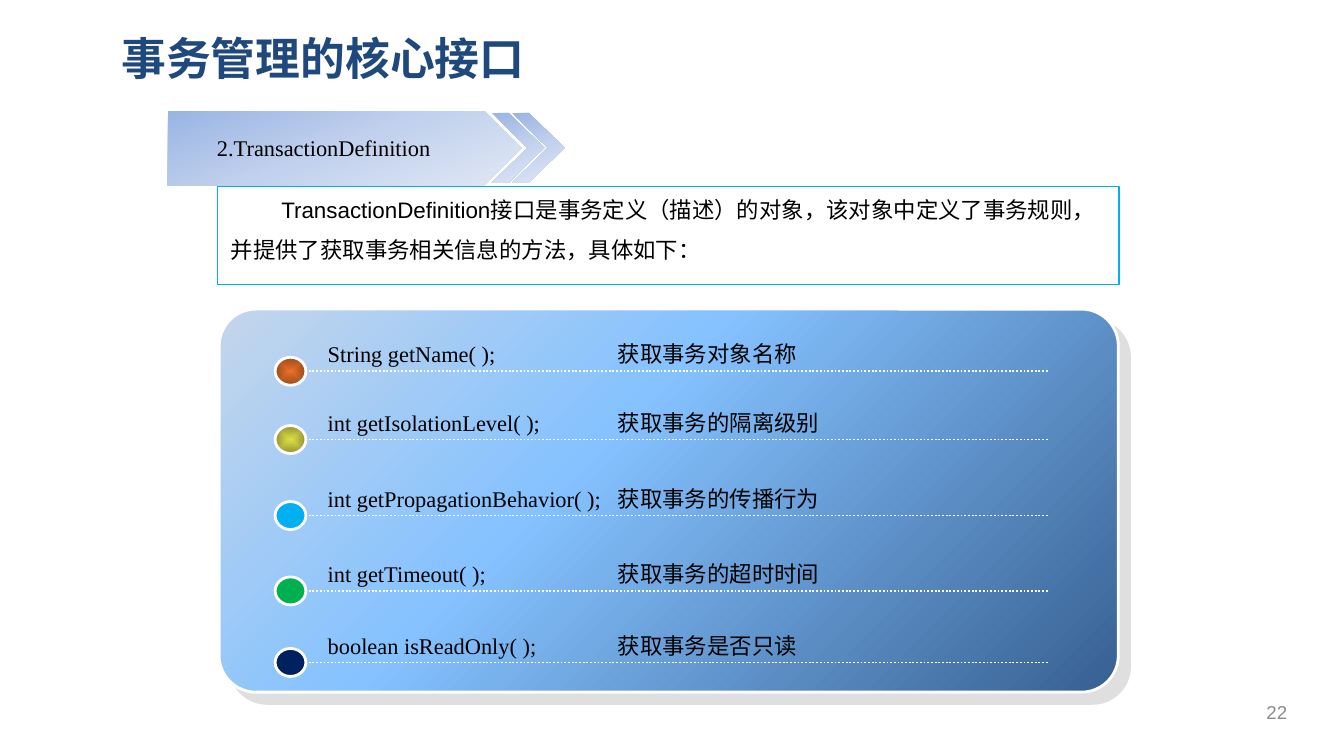
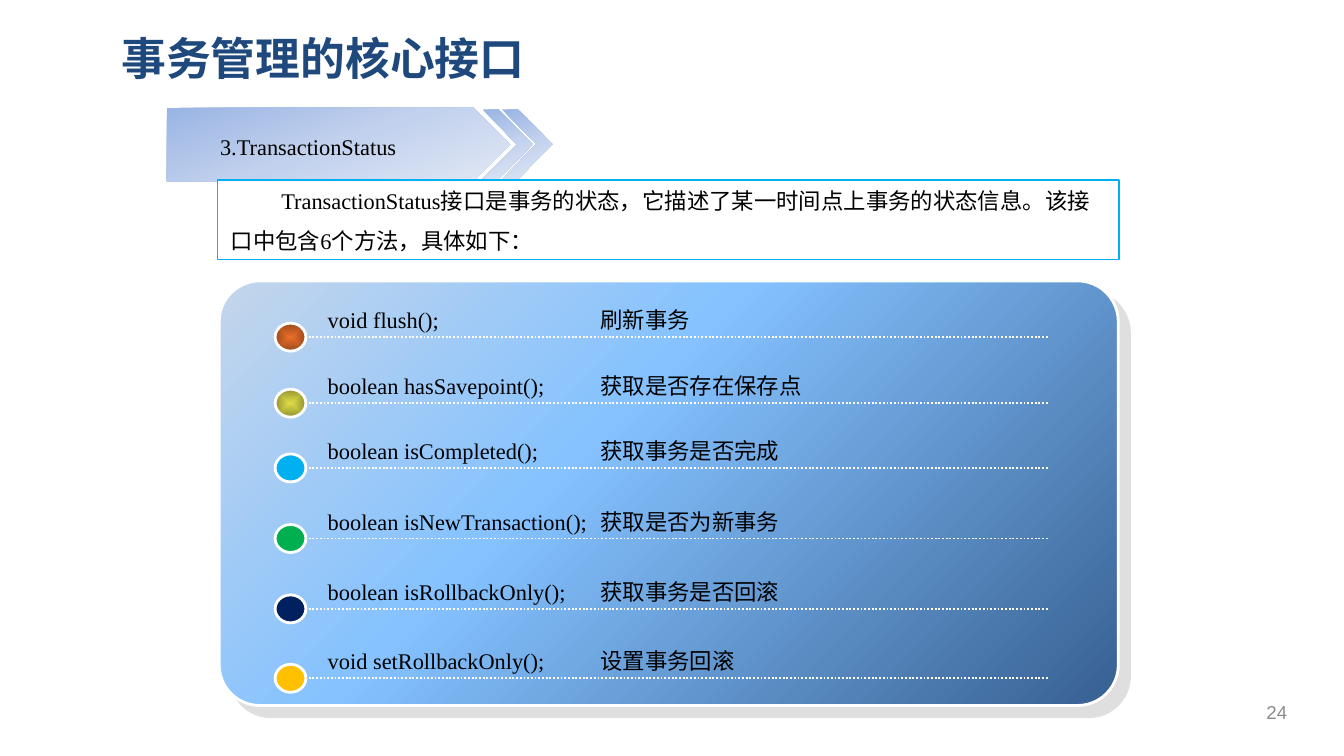
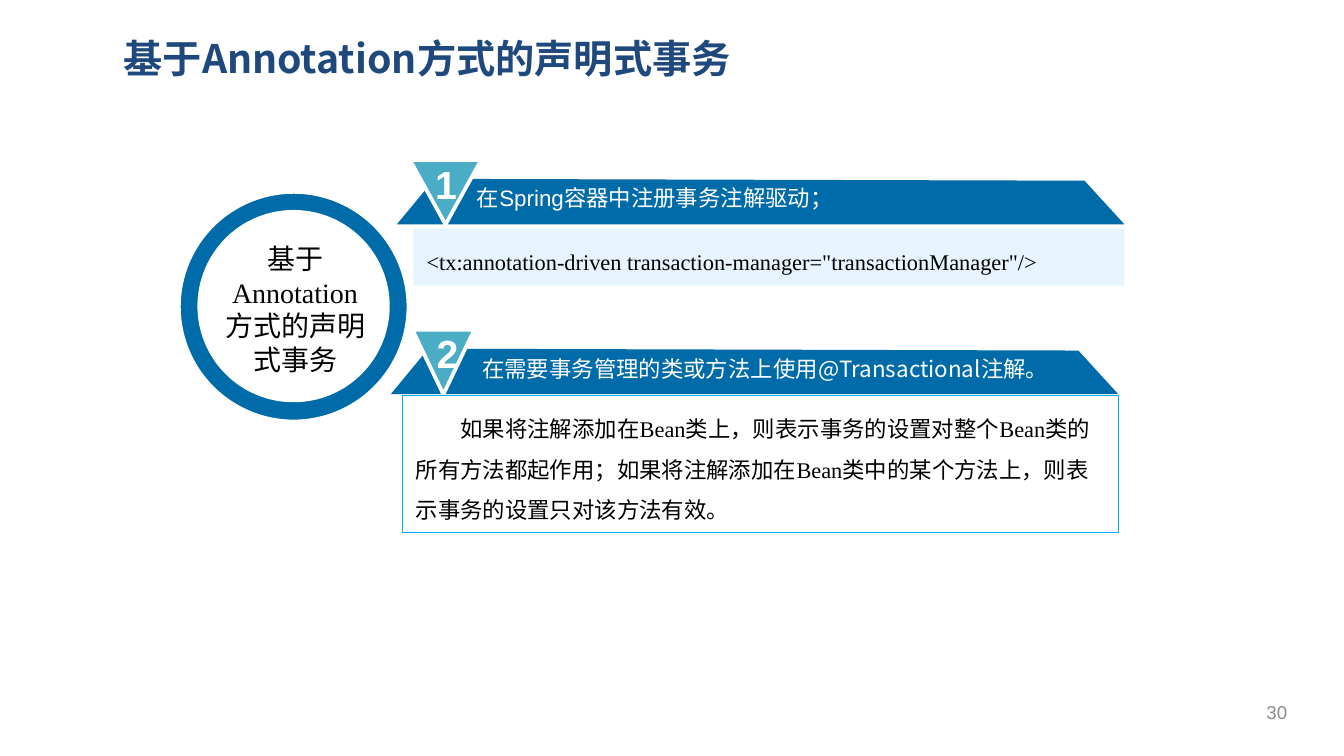
import pptx
import pptx.util
import pptx.oxml
import pptx.oxml.ns
import pptx.dml.color
import pptx.enum.shapes
import pptx.enum.text
import lxml.etree

Pt = pptx.util.Pt
qn = pptx.oxml.ns.qn
MSO = pptx.enum.shapes.MSO_SHAPE
ANCHOR = pptx.enum.text.MSO_ANCHOR
ALIGN = pptx.enum.text.PP_ALIGN
NS = pptx.oxml.ns.nsdecls("a")

COLORS = {
    "title": "1F497D", "number": "8C8C8C", "text": "000000", "white": "FFFFFF",
    "cyan": "00B0F0", "green": "00B050", "navy": "002060", "amber": "FFC000",
    "blue": "006BA9", "teal": "4BACC6", "pale": "E7F4FF", "shadow": "C0C0C0",
}
GRADIENTS = {
    "banner": ([(0, "9AB5E4"), (50, "C2D1ED"), (100, "E1E8F5")], 70),
    "panel": ([(0, "C4D6EB"), (40, "85C2FF"), (100, "376092")], 45),
    "orange": ([(0, "E96E29"), (100, "9B491B")], None),
    "olive": ([(0, "DCDC48"), (100, "939330")], None),
}
SERIF, SANS, CJK = "Times New Roman", "Arial", "Noto Sans CJK SC"
DOTS = ["orange", "olive", "cyan", "green", "navy", "amber"]


def style(sp, fill, line=None, width=0.75, alpha=None):
    sp.shadow.inherit = False
    if fill in GRADIENTS:
        stops, angle = GRADIENTS[fill]
        gs = "".join(f'<a:gs pos="{pos * 1000}"><a:srgbClr val="{c}"/></a:gs>' for pos, c in stops)
        if angle is None:
            way = '<a:path path="shape"><a:fillToRect l="50000" t="50000" r="50000" b="50000"/></a:path>'
        else:
            way = f'<a:lin ang="{angle * 60000}" scaled="0"/>'
        sp.fill.background()
        spPr = sp._element.spPr
        spPr.replace(spPr.find(qn("a:noFill")), pptx.oxml.parse_xml(
            f'<a:gradFill {NS} rotWithShape="1"><a:gsLst>{gs}</a:gsLst>{way}</a:gradFill>'))
    else:
        sp.fill.solid()
        sp.fill.fore_color.rgb = pptx.dml.color.RGBColor.from_string(COLORS[fill])
        if alpha:
            clr = sp._element.spPr.find(qn("a:solidFill"))[0]
            lxml.etree.SubElement(clr, qn("a:alpha")).set("val", str(alpha * 1000))
    if line:
        sp.line.color.rgb = pptx.dml.color.RGBColor.from_string(COLORS[line])
        sp.line.width = Pt(width)
    else:
        sp.line.fill.background()
    return sp


def write(sp, text, size=12, font=SERIF, color="text", bold=False, align=ALIGN.LEFT,
          anchor=ANCHOR.TOP, spacing=None, indent=0, tab=None, wrap=True):
    tf = sp.text_frame
    p = tf.paragraphs[0]
    r = p.add_run()
    r.text = text
    formats = [
        (tf, {"word_wrap": wrap, "vertical_anchor": anchor}),
        (p, {"alignment": align, "line_spacing": spacing}),
        (r.font, {"size": Pt(size), "name": font, "bold": bold}),
    ]
    for obj, values in formats:
        for name, value in values.items():
            setattr(obj, name, value)
    r.font.color.rgb = pptx.dml.color.RGBColor.from_string(COLORS[color])
    lxml.etree.SubElement(r.font._element, qn("a:ea")).set("typeface", CJK)
    pPr = p._p.get_or_add_pPr()
    if indent:
        pPr.set("indent", str(Pt(indent)))
    if tab:
        pPr.append(pptx.oxml.parse_xml(
            f'<a:tabLst {NS}><a:tab pos="{Pt(tab)}" algn="l"/></a:tabLst>'))


prs = pptx.Presentation()
prs.slide_width, prs.slide_height = Pt(720), Pt(405)

pages = [
    ("事务管理的核心接口", 24, ANCHOR.TOP, "22"),
    ("事务管理的核心接口", 24, ANCHOR.TOP, "24"),
    ("基于Annotation方式的声明式事务", 21, ANCHOR.MIDDLE, "30"),
]
slides = []
for title, size, anchor, number in pages:
    s = prs.slides.add_slide(prs.slide_layouts[6])
    sp = s.shapes.add_textbox(Pt(59.8), Pt(13), Pt(629), Pt(36))
    inset = 6.5 if anchor == ANCHOR.MIDDLE else 5.2
    sp.text_frame.margin_left = sp.text_frame.margin_right = Pt(inset)
    write(sp, title, size, CJK, "title", True, anchor=anchor)
    sp = s.shapes.add_textbox(Pt(666.7), Pt(370.8), Pt(34.6), Pt(21.6))
    write(sp, number, 10, SANS, "number", align=ALIGN.CENTER, anchor=ANCHOR.MIDDLE)
    slides.append(s)

interfaces = [
    {
        "name": "2.TransactionDefinition", "name_box": (83.5, 68.4, 180, 21.6),
        "arrow": (90, 59.5, 189.4, 40), "chevrons": (263.5, 274.3), "chevron_width": 28.1,
        "intro": "TransactionDefinition接口是事务定义（描述）的对象，该对象中定义了事务规则，"
                 "并提供了获取事务相关信息的方法，具体如下：",
        "intro_font": SANS, "frame": (100, 52.6), "intro_top": 94.3,
        "panel": (165.6, 205.2), "tab": 155.4,
        "methods": [
            (198.9, "String getName( );", "获取事务对象名称"),
            (235.5, "int getIsolationLevel( );", "获取事务的隔离级别"),
            (276.2, "int getPropagationBehavior( );", "获取事务的传播行为"),
            (316.6, "int getTimeout( );", "获取事务的超时时间"),
            (354.9, "boolean isReadOnly( );", "获取事务是否只读"),
        ],
    },
    {
        "name": "3.TransactionStatus", "name_box": (83.5, 67.7, 163.4, 21.6),
        "arrow": (89.5, 57.6, 183.8, 39.6), "chevrons": (258.5, 268.9), "chevron_width": 27,
        "intro": "TransactionStatus接口是事务的状态，它描述了某一时间点上事务的状态信息。"
                 "该接口中包含6个方法，具体如下：",
        "intro_font": SERIF, "frame": (96.5, 42.5), "intro_top": 89.3,
        "panel": (150.5, 227.5), "tab": 146,
        "methods": [
            (180.6, "void flush();", "刷新事务"),
            (216, "boolean hasSavepoint();", "获取是否存在保存点"),
            (250.7, "boolean isCompleted();", "获取事务是否完成"),
            (288.5, "boolean isNewTransaction();", "获取是否为新事务"),
            (326.2, "boolean isRollbackOnly();", "获取事务是否回滚"),
            (363.4, "void setRollbackOnly();", "设置事务回滚"),
        ],
    },
]
for s, item in zip(slides, interfaces):
    banner = s.shapes.add_group_shape().shapes
    style(banner.add_shape(MSO.PENTAGON, *map(Pt, item["arrow"])), "banner")
    sp = banner.add_textbox(*map(Pt, item["name_box"]))
    write(sp, item["name"], align=ALIGN.CENTER)
    for x in item["chevrons"]:
        sp = banner.add_shape(MSO.CHEVRON, Pt(x), Pt(item["arrow"][1] + 1),
                              Pt(item["chevron_width"]), Pt(37.4))
        sp.adjustments[0] = 0.68
        style(sp, "banner")

    top, height = item["frame"]
    sp = s.shapes.add_shape(MSO.RECTANGLE, Pt(116.6), Pt(top), Pt(483), Pt(height))
    style(sp, "white", "cyan", alpha=90)
    sp = s.shapes.add_textbox(Pt(116.6), Pt(item["intro_top"]), Pt(483), Pt(48.2))
    write(sp, item["intro"], font=item["intro_font"], spacing=1.5, indent=27)

    top, height = item["panel"]
    sp = s.shapes.add_shape(MSO.ROUNDED_RECTANGLE, Pt(117.4), Pt(top), Pt(481.7), Pt(height))
    sp.adjustments[0] = 0.096
    style(sp, "panel", "white", 1.5)
    sp._element.spPr.find(qn("a:effectLst")).append(pptx.oxml.parse_xml(
        f'<a:outerShdw {NS} dist="{Pt(8.5)}" dir="2700000" algn="ctr" rotWithShape="0">'
        f'<a:srgbClr val="{COLORS["shadow"]}"><a:alpha val="50000"/></a:srgbClr></a:outerShdw>'))

    for dot, (y, method, meaning) in zip(DOTS, item["methods"]):
        row = s.shapes.add_group_shape().shapes
        ln = row.add_connector(pptx.enum.shapes.MSO_CONNECTOR.STRAIGHT,
                               Pt(163.4), Pt(y), Pt(561.6), Pt(y))
        ln.line.color.rgb = pptx.dml.color.RGBColor.from_string(COLORS["white"])
        ln.line.width = Pt(1)
        ln.line.dash_style = pptx.enum.dml.MSO_LINE.ROUND_DOT
        lxml.etree.SubElement(ln._element.spPr, qn("a:effectLst"))
        sp = row.add_shape(MSO.OVAL, Pt(147.4), Pt(y - 7.5), Pt(16.5), Pt(15))
        style(sp, dot, "white", 1.5)
        sp = row.add_textbox(Pt(168.5), Pt(y - 27.2), Pt(394), Pt(26.6))
        write(sp, method + "\t" + meaning, spacing=1.5, tab=item["tab"])

s = slides[2]
ring = s.shapes.add_group_shape().shapes
style(ring.add_shape(MSO.OVAL, Pt(95.8), Pt(102.8), Pt(123), Pt(123)), "blue", "white", 2)
style(ring.add_shape(MSO.OVAL, Pt(105.8), Pt(112.5), Pt(103), Pt(103)), "white")
sp = s.shapes.add_textbox(Pt(111.6), Pt(126), Pt(92.9), Pt(79.9))
write(sp, "基于Annotation方式的声明式事务", 15, align=ALIGN.CENTER)

steps = [
    ("1", 212.6, 95.8, (219.6, 38.2), 226.1, "在Spring容器中注册事务注解驱动；", SANS, (248.4, 95, 234)),
    ("2", 209.3, 186.8, (221, 33.1), 226.8, "在需要事务管理的类或方法上使用@Transactional注解。", CJK,
     (251.3, 186.5, 340)),
]
for number, x, y, (mark_x, mark_w), number_x, text, font, (text_x, text_y, text_w) in steps:
    step = s.shapes.add_group_shape().shapes
    fb = step.build_freeform(Pt(x + 20.2), Pt(y))
    fb.add_line_segments([(Pt(x + 368.4), Pt(y + 1)), (Pt(x + 389.8), Pt(y + 24.4)),
                          (Pt(x), Pt(y + 24.4))])
    style(fb.convert_to_shape(), "blue")
    sp = step.add_shape(MSO.ISOSCELES_TRIANGLE, Pt(mark_x), Pt(y - 10.1), Pt(mark_w), Pt(34.6))
    sp._element.spPr.xfrm.set("flipV", "1")
    style(sp, "teal", "white", 2)
    sp = step.add_textbox(Pt(number_x), Pt(y - 13.7), Pt(25.9), Pt(32.4))
    write(sp, number, 21, SANS, "white", True, wrap=False)
    sp = s.shapes.add_textbox(Pt(text_x), Pt(text_y), Pt(text_w), Pt(21.6))
    write(sp, text, font=font, color="white")

sp = s.shapes.add_shape(MSO.RECTANGLE, Pt(221.4), Pt(122.4), Pt(381), Pt(30.6))
style(sp, "pale")
write(sp, '<tx:annotation-driven transaction-manager="transactionManager"/>', spacing=1.5)
sp = s.shapes.add_shape(MSO.RECTANGLE, Pt(215.6), Pt(211.9), Pt(383.5), Pt(73.6))
style(sp, "white", "cyan", alpha=90)
write(sp, "如果将注解添加在Bean类上，则表示事务的设置对整个Bean类的所有方法都起作用；"
          "如果将注解添加在Bean类中的某个方法上，则表示事务的设置只对该方法有效。",
      spacing=1.5, indent=24)

prs.save("out.pptx")
